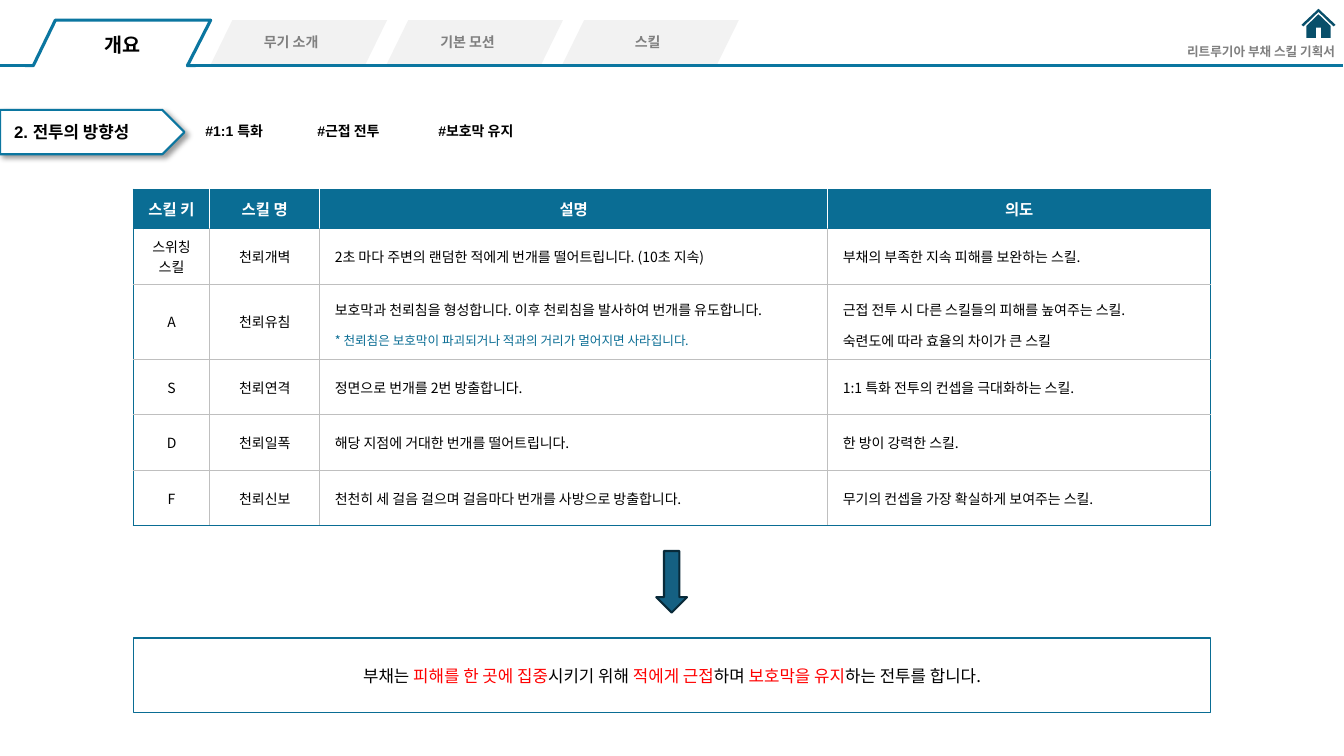
"""Build the combat direction slide: tabs, skill table and conclusion."""
from lxml import etree
from pptx import Presentation
from pptx.dml.color import RGBColor
from pptx.enum import shapes, text
from pptx.oxml import ns
from pptx.util import Pt

KOREAN = "Noto Sans CJK KR"
LATIN = "Arial"
BLACK = RGBColor(0x00, 0x00, 0x00)
WHITE = RGBColor(0xFF, 0xFF, 0xFF)
RED = RGBColor(0xFF, 0x00, 0x00)
GRAY = RGBColor(0x80, 0x80, 0x80)
TAB_GRAY = RGBColor(0xF2, 0xF2, 0xF2)
GRID_GRAY = RGBColor(0xBF, 0xBF, 0xBF)
BLUE = RGBColor(0x0B, 0x76, 0xA0)
TEAL = RGBColor(0x0A, 0x6D, 0x94)
HOME_TEAL = RGBColor(0x08, 0x4F, 0x6A)
ARROW_FILL = RGBColor(0x15, 0x60, 0x82)
ARROW_LINE = RGBColor(0x09, 0x2A, 0x39)

TITLE = "2. 전투의 방향성"
ACTIVE_TAB = "개요"
DOCUMENT_NAME = "리트루기아 부채 스킬 기획서"
TABS = [("무기 소개", 181.4, 58.3), ("기본 모션", 307.4, 58.3), ("스킬", 446.4, 34.6)]
TAGS = [("#1:1 특화", 139.7, 59), ("#근접 전투", 219.6, 64.8), ("#보호막 유지", 306, 74.9)]
HEADERS = ["스킬 키", "스킬 명", "설명", "의도"]
SKILLS = [
    ("스위칭\n스킬", "천뢰개벽",
     ["2초 마다 주변의 랜덤한 적에게 번개를 떨어트립니다. (10초 지속)"],
     ["부채의 부족한 지속 피해를 보완하는 스킬."]),
    ("A", "천뢰유침",
     ["보호막과 천뢰침을 형성합니다. 이후 천뢰침을 발사하여 번개를 유도합니다.",
      "* 천뢰침은 보호막이 파괴되거나 적과의 거리가 멀어지면 사라집니다."],
     ["근접 전투 시 다른 스킬들의 피해를 높여주는 스킬.",
      "숙련도에 따라 효율의 차이가 큰 스킬"]),
    ("S", "천뢰연격", ["정면으로 번개를 2번 방출합니다."],
     ["1:1 특화 전투의 컨셉을 극대화하는 스킬."]),
    ("D", "천뢰일폭", ["해당 지점에 거대한 번개를 떨어트립니다."],
     ["한 방이 강력한 스킬."]),
    ("F", "천뢰신보", ["천천히 세 걸음 걸으며 걸음마다 번개를 사방으로 방출합니다."],
     ["무기의 컨셉을 가장 확실하게 보여주는 스킬."]),
]
CONCLUSION = [
    ("부채는 ", BLACK), ("피해를 한 곳에 집중", RED), ("시키기 위해 ", BLACK),
    ("적에게 근접", RED), ("하며 ", BLACK), ("보호막을 유지", RED),
    ("하는 전투를 합니다.", BLACK),
]
COLUMN_WIDTHS = [54.7, 78.5, 362.9, 273.6]
ROW_HEIGHTS = [28.3, 39.6, 53.7, 39.6, 39.6, 39.6]
TABLE_LEFT, TABLE_TOP = 95.2, 135.2
TABLE_WIDTH = sum(COLUMN_WIDTHS)
BASELINE = 46.9
TAB_OUTLINE = [(18, 46.9), (23.8, 46.9), (39.6, 14.4), (150.5, 14.4),
               (133.9, 46.9), (139.7, 46.9)]
HOME_CENTER = 941.8
ROOF_HALF = [(0, 6.3), (0, 8.5), (10.7, 18.9), (12.2, 17.8)]
ROOF = [(0, 8.5), (10.7, 18.9), (12.2, 17.8), (0, 6.3), (-12.2, 17.8), (-10.7, 18.9)]
HOUSE = [(0, 10.2), (8.6, 18.5), (8.6, 27), (1.9, 27), (1.9, 19.8),
         (-1.9, 19.8), (-1.9, 27), (-8.6, 27), (-8.6, 18.5)]


def add_child(parent, tag, **attributes):
    return etree.SubElement(parent, ns.qn(tag), attributes)


def add_run(paragraph, content, size, color, bold=False, font=KOREAN):
    for index, line in enumerate(content.split("\n")):
        if index:
            paragraph.add_line_break()
        run = paragraph.add_run()
        run.text = line
        run.font.size, run.font.bold, run.font.name = Pt(size), bold, font
        run.font.color.rgb = color
        add_child(run.font._element, "a:ea", typeface=KOREAN)


def add_label(slide, box, content, size, color, font=KOREAN, align=text.PP_ALIGN.LEFT):
    shape = slide.shapes.add_textbox(*map(Pt, box))
    shape.text_frame.word_wrap = False
    paragraph = shape.text_frame.paragraphs[0]
    paragraph.alignment = align
    add_run(paragraph, content, size, color, True, font)
    return shape


def style(shape, fill=None, line=None, width=1):
    shape.shadow.inherit = False
    if fill is None:
        shape.fill.background()
    else:
        shape.fill.solid()
        shape.fill.fore_color.rgb = fill
    if line is None:
        shape.line.fill.background()
    else:
        shape.line.color.rgb, shape.line.width = line, Pt(width)
    return shape


def add_preset(slide, kind, box, **look):
    return style(slide.shapes.add_shape(kind, *map(Pt, box)), **look)


def add_outline(slide, points, close, **look):
    vertices = [(Pt(x), Pt(y)) for x, y in points]
    builder = slide.shapes.build_freeform(*vertices[0], scale=1.0)
    builder.add_line_segments(vertices[1:], close=close)
    return style(builder.convert_to_shape(), **look)


def add_tabs(slide):
    for index, (name, left, width) in enumerate(TABS):
        tab = add_preset(slide, shapes.MSO_SHAPE.PARALLELOGRAM,
                         (150.5 + 125.6 * index, 14.4, 126, 31.7), fill=TAB_GRAY)
        tab.adjustments[0] = 0.49
        add_label(slide, (left, 20.2, width, 19.4), name, 10, GRAY)
    add_label(slide, (66.2, 20.2, 42.5, 24.5), ACTIVE_TAB, 14, BLACK,
              align=text.PP_ALIGN.CENTER)
    add_outline(slide, TAB_OUTLINE, False, line=BLUE, width=2.25)
    for start, end in [(23.8, 0), (959, 133.9)]:
        connector = slide.shapes.add_connector(
            shapes.MSO_CONNECTOR.STRAIGHT, Pt(start), Pt(BASELINE), Pt(end), Pt(BASELINE))
        connector.line.color.rgb, connector.line.width = BLUE, Pt(2.25)
        add_child(connector._element.spPr, "a:effectLst")


def add_home(slide):
    add_label(slide, (827.3, 28.1, 133.2, 18), DOCUMENT_NAME, 9, GRAY,
              align=text.PP_ALIGN.RIGHT)
    for part in (ROOF, HOUSE):
        add_outline(slide, [(HOME_CENTER + x, y) for x, y in part], True, fill=HOME_TEAL)


def add_heading(slide):
    banner = add_preset(slide, shapes.MSO_SHAPE.PENTAGON, (0, 78.5, 131.8, 31.7),
                        fill=WHITE, line=BLUE, width=1.5)
    effects = banner._element.spPr.find(ns.qn("a:effectLst"))
    shadow = add_child(effects, "a:outerShdw", blurRad=str(Pt(4)), dist=str(Pt(3)),
                       dir="2700000", algn="tl", rotWithShape="0")
    add_child(add_child(shadow, "a:srgbClr", val=str(BLACK)), "a:alpha", val="40000")
    title = slide.shapes.title
    title.left, title.top, title.width, title.height = map(Pt, (2.9, 83.5, 105.8, 21.8))
    frame = title.text_frame
    frame.word_wrap, frame.auto_size = False, text.MSO_AUTO_SIZE.NONE
    frame.vertical_anchor = text.MSO_ANCHOR.MIDDLE
    frame.paragraphs[0].alignment = text.PP_ALIGN.LEFT
    add_run(frame.paragraphs[0], TITLE, 12, BLACK, True, LATIN)
    banner._element.addnext(title._element)
    for tag, left, width in TAGS:
        add_label(slide, (left, 84.2, width, 19.4), tag, 10, BLACK, LATIN)


def set_borders(cell, row, column):
    last_row, last_column = len(SKILLS), len(HEADERS) - 1
    inner = WHITE if row == 0 else GRID_GRAY
    colors = {
        "a:lnL": TEAL if column == 0 else inner,
        "a:lnR": TEAL if column == last_column else inner,
        "a:lnT": TEAL if row <= 1 else GRID_GRAY,
        "a:lnB": TEAL if row in (0, last_row) else GRID_GRAY,
    }
    properties = cell._tc.get_or_add_tcPr()
    for tag, color in colors.items():
        line = add_child(properties, tag, w=str(Pt(0.75 if color == GRID_GRAY else 1)))
        add_child(add_child(line, "a:solidFill"), "a:srgbClr", val=str(color))


def fill_cell(cell, row, column, content):
    header, wide = row == 0, row > 0 and column > 1
    set_borders(cell, row, column)
    cell.fill.solid()
    cell.fill.fore_color.rgb = TEAL if header else WHITE
    cell.vertical_anchor = text.MSO_ANCHOR.MIDDLE
    cell.margin_left = cell.margin_right = Pt(10.8 if wide else 5)
    cell.margin_top = cell.margin_bottom = Pt(10.8 if wide else 0)
    for index, line in enumerate(content if wide else [content]):
        frame = cell.text_frame
        paragraph = frame.add_paragraph() if index else frame.paragraphs[0]
        paragraph.alignment = text.PP_ALIGN.LEFT if wide else text.PP_ALIGN.CENTER
        paragraph.space_after = Pt(8)
        note = line.startswith("*")
        size = 11 if header else 9 if note else 10
        add_run(paragraph, line, size, WHITE if header else TEAL if note else BLACK, header)


def add_skill_table(slide):
    rows = [HEADERS, *SKILLS]
    table = slide.shapes.add_table(
        len(rows), len(HEADERS), Pt(TABLE_LEFT), Pt(TABLE_TOP),
        Pt(TABLE_WIDTH), Pt(sum(ROW_HEIGHTS))).table
    table.first_row = table.horz_banding = False
    for column, width in zip(table.columns, COLUMN_WIDTHS):
        column.width = Pt(width)
    for row, height in zip(table.rows, ROW_HEIGHTS):
        row.height = Pt(height)
    for row, values in enumerate(rows):
        for column, content in enumerate(values):
            fill_cell(table.cell(row, column), row, column, content)


def add_conclusion(slide):
    box = add_preset(slide, shapes.MSO_SHAPE.RECTANGLE,
                     (TABLE_LEFT, 455.6, TABLE_WIDTH, 53.5), line=TEAL)
    frame = box.text_frame
    frame.word_wrap, frame.vertical_anchor = True, text.MSO_ANCHOR.MIDDLE
    frame.margin_left = frame.margin_right = frame.margin_top = frame.margin_bottom = 0
    frame.paragraphs[0].alignment = text.PP_ALIGN.CENTER
    for content, color in CONCLUSION:
        add_run(frame.paragraphs[0], content, 12, color)
    add_preset(slide, shapes.MSO_SHAPE.DOWN_ARROW, (468.8, 393.6, 22, 44),
               fill=ARROW_FILL, line=ARROW_LINE, width=1.5)


def main():
    presentation = Presentation()
    presentation.slide_width, presentation.slide_height = Pt(960), Pt(540)
    slide = presentation.slides.add_slide(presentation.slide_layouts[5])
    for build in (add_tabs, add_home, add_heading, add_skill_table, add_conclusion):
        build(slide)
    presentation.save("out.pptx")


if __name__ == "__main__":
    main()
